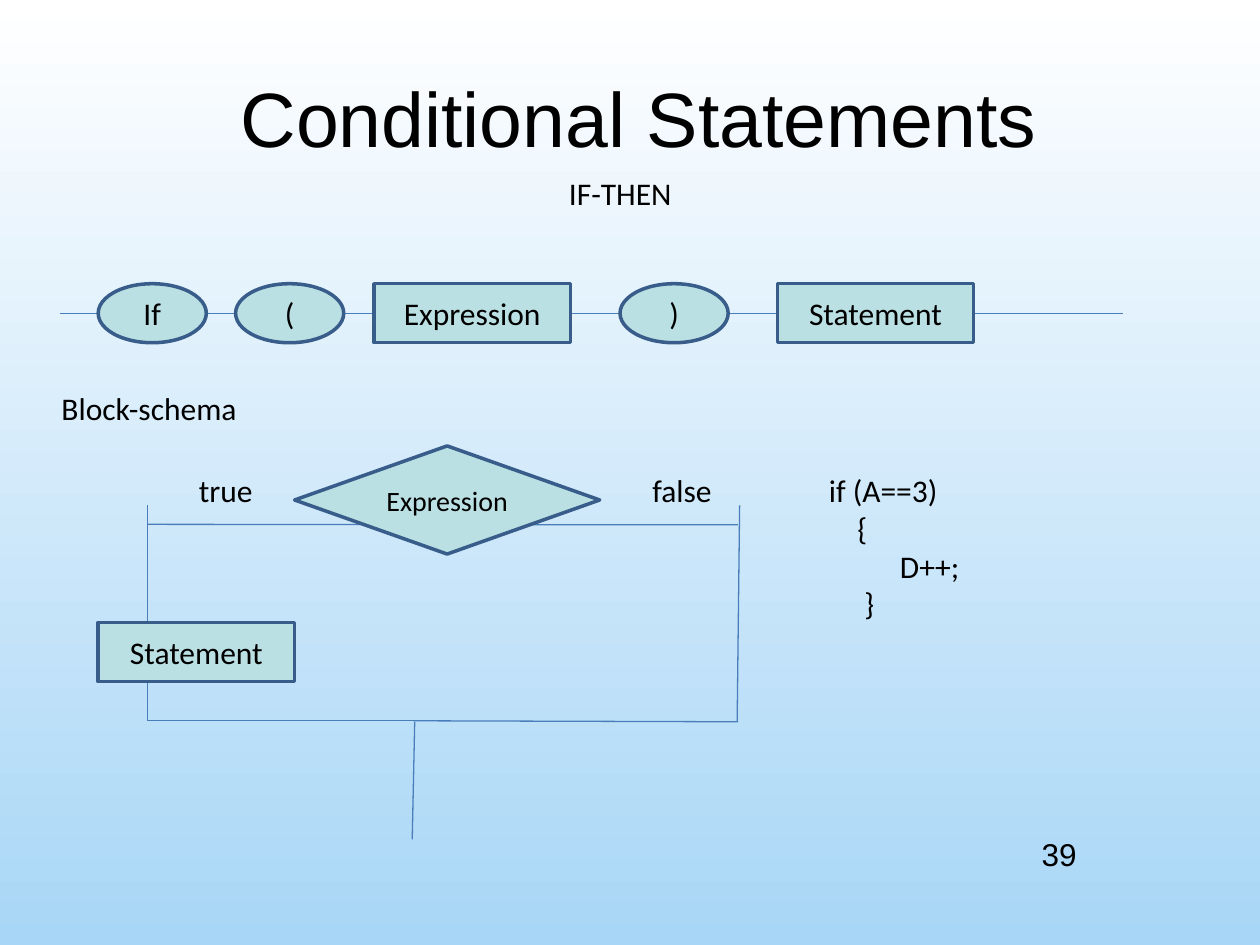
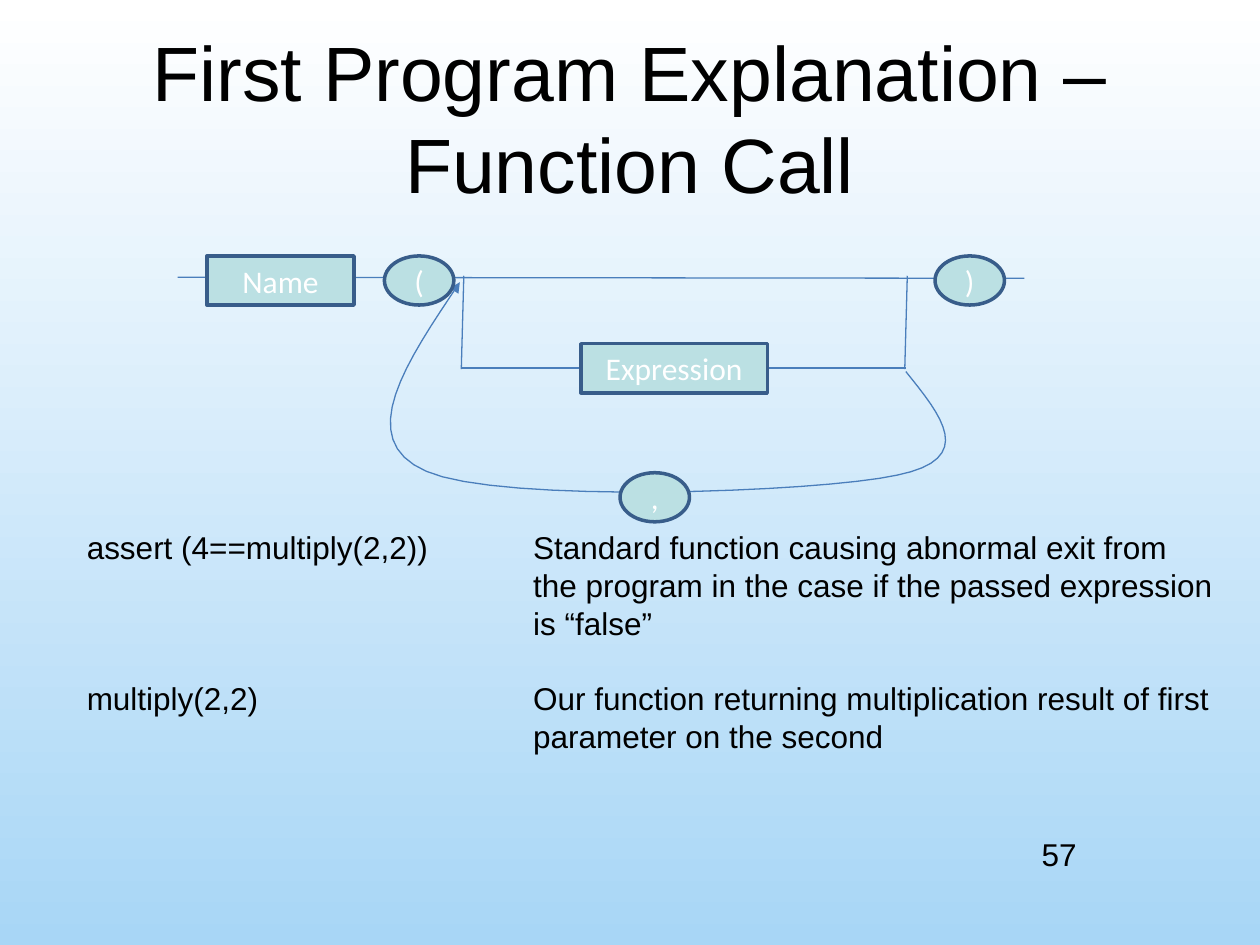
from dataclasses import dataclass

from lxml.etree import SubElement
from pptx import Presentation
from pptx.dml.color import RGBColor
from pptx.enum.shapes import MSO_CONNECTOR, MSO_SHAPE
from pptx.enum.text import MSO_ANCHOR as ANCHOR, PP_ALIGN as ALIGN
from pptx.oxml.ns import qn
from pptx.util import Cm, Pt

COLORS = {
    "sky_top": "FFFFFF",
    "sky_bottom": "A8D6F6",
    "node": "BBE0E3",
    "border": "385D8A",
    "wire": "4A7EBB",
    "black": "000000",
    "white": "FFFFFF",
}
SANS, BODY = "Arial", "Calibri"
RECT, OVAL, DIAMOND = MSO_SHAPE.RECTANGLE, MSO_SHAPE.OVAL, MSO_SHAPE.DIAMOND
CURVE_STEPS = 16


@dataclass
class Node:
    text: str
    kind: MSO_SHAPE
    left: float
    top: float
    width: float
    height: float
    size: int = 18
    color: str = "black"


@dataclass
class Wire:
    x1: float
    y1: float
    x2: float
    y2: float


@dataclass
class Label:
    text: str
    left: float
    top: float
    width: float
    height: float = 1.02
    font: str = BODY
    size: int = 18
    align: ALIGN = ALIGN.LEFT
    anchor: ANCHOR = ANCHOR.TOP


def rgb(name: str) -> RGBColor:
    return RGBColor.from_string(COLORS[name])


def write(sp, text: str, *, font: str = BODY, size: int = 18, color: str = "black",
          align: ALIGN = ALIGN.CENTER, anchor: ANCHOR = ANCHOR.MIDDLE) -> None:
    """Fill a shape with text, one paragraph per line."""
    tf = sp.text_frame
    tf.word_wrap = True
    tf.vertical_anchor = anchor
    for i, line in enumerate(text.split("\n")):
        p = tf.add_paragraph() if i else tf.paragraphs[0]
        p.alignment = align
        r = p.add_run()
        r.text = line
        r.font.name, r.font.size = font, Pt(size)
        r.font.color.rgb = rgb(color)


def add_label(slide, label: Label) -> None:
    sp = slide.shapes.add_textbox(Cm(label.left), Cm(label.top), Cm(label.width), Cm(label.height))
    write(sp, label.text, font=label.font, size=label.size, align=label.align, anchor=label.anchor)


def add_node(slide, node: Node) -> None:
    sp = slide.shapes.add_shape(node.kind, Cm(node.left), Cm(node.top),
                                Cm(node.width), Cm(node.height))
    sp.shadow.inherit = False
    sp.fill.solid()
    sp.fill.fore_color.rgb = rgb("node")
    sp.line.color.rgb = rgb("border")
    sp.line.width = Pt(2)
    write(sp, node.text, size=node.size, color=node.color)


def style_wire(sp) -> None:
    sp.line.color.rgb = rgb("wire")
    sp.line.width = Pt(0.75)


def add_wire(slide, wire: Wire) -> None:
    cx = slide.shapes.add_connector(MSO_CONNECTOR.STRAIGHT, Cm(wire.x1), Cm(wire.y1),
                                    Cm(wire.x2), Cm(wire.y2))
    style_wire(cx)
    SubElement(cx._element.spPr, qn("a:effectLst"))


def bezier(p0: tuple, p1: tuple, p2: tuple, p3: tuple) -> list[tuple]:
    """Points along a cubic curve, without its start."""
    points = []
    for i in range(1, CURVE_STEPS + 1):
        t = i / CURVE_STEPS
        weights = ((1 - t) ** 3, 3 * t * (1 - t) ** 2, 3 * t * t * (1 - t), t ** 3)
        points.append(tuple(sum(w * p[axis] for w, p in zip(weights, (p0, p1, p2, p3)))
                            for axis in (0, 1)))
    return points


def add_curved_arrow(slide, start: tuple, segments: list[tuple]) -> None:
    points, last = [], start
    for c1, c2, end in segments:
        points += bezier(last, c1, c2, end)
        last = end
    builder = slide.shapes.build_freeform(Cm(start[0]), Cm(start[1]))
    builder.add_line_segments([(Cm(x), Cm(y)) for x, y in points], close=False)
    sp = builder.convert_to_shape()
    sp.shadow.inherit = False
    sp.fill.background()
    style_wire(sp)
    SubElement(sp._element.spPr.find(qn("a:ln")), qn("a:tailEnd"), type="triangle")


def new_slide(prs, title: Label, number: str):
    """Add a slide with the sky background, its title and its number."""
    slide = prs.slides.add_slide(prs.slide_layouts[6])
    fill = slide.background.fill
    fill.gradient()
    fill.gradient_angle = 270
    for stop, name in zip(fill.gradient_stops, ("sky_top", "sky_bottom")):
        stop.color.rgb = rgb(name)
    add_label(slide, title)
    add_label(slide, Label(number, 20.75, 16.71, 4, 1.3, font=SANS))
    return slide


def title_label(text: str, left: float, top: float, height: float) -> Label:
    return Label(text, left, top, 22.86, height, SANS, 44, ALIGN.CENTER, ANCHOR.MIDDLE)


def build_conditionals(prs) -> None:
    slide = new_slide(prs, title_label("Conditional Statements", 1.45, 0.76, 3.18), "39")
    trunk, right = 2.97, 14.88
    wires = [
        Wire(1.2, 6.32, 22.63, 6.32),
        Wire(trunk, 10.57, right, 10.58),
        Wire(trunk, 10.19, trunk, 14.53),
        Wire(trunk, 14.53, 8.33, 14.53),
        Wire(14.91, 10.19, 14.86, 14.55),
        Wire(8.33, 14.53, right, 14.55),
        Wire(8.36, 14.55, 8.31, 16.92),
    ]
    oval_w, rect_w, node_h = 2.18, 3.96, 1.19
    syntax = [("If", OVAL, 1.98), ("(", OVAL, 4.75), ("Expression", RECT, 7.54),
              (")", OVAL, 12.5), ("Statement", RECT, 15.67)]
    nodes = [Node(text, kind, left, 5.72, oval_w if kind == OVAL else rect_w, node_h)
             for text, kind, left in syntax]
    nodes += [
        Node("Expression", DIAMOND, 5.94, 8.99, 6.15, 2.18, size=16),
        Node("Statement", RECT, 1.98, 12.55, rect_w, node_h),
    ]
    labels = [
        Label("IF-THEN", 6.55, 3.38, 11.91, align=ALIGN.CENTER),
        Label("Block-schema", 0.99, 7.72, 5.77),
        Label("true", 3.76, 9.37, 1.78),
        Label("false", 12.9, 9.37, 1.78),
        Label("if (A==3)\n    {\n          D++;\n     }", 16.46, 9.37, 8.94, 3.3),
    ]
    for wire in wires:
        add_wire(slide, wire)
    for node in nodes:
        add_node(slide, node)
    for label in labels:
        add_label(slide, label)


def build_function_call(prs) -> None:
    title = "First Program Explanation – Function Call"
    slide = new_slide(prs, title_label(title, 1.27, 0.36, 3.99), "57")
    wires = [Wire(3.58, 5.59, 20.65, 5.61), Wire(9.32, 7.42, 18.26, 7.42)]
    wires += [Wire(x, 5.56, x - 0.05, 7.44) for x in (9.35, 18.29)]
    for wire in wires:
        add_wire(slide, wire)
    add_curved_arrow(slide, (18.26, 7.49), [
        ((18.97, 8.38), (19.71, 9.25), (18.08, 9.58)),
        ((16.48, 9.93), (10.06, 10.16), (8.59, 9.5)),
        ((7.11, 8.86), (8.2, 7.29), (9.27, 5.69)),
    ])

    syntax = [("Name", RECT, 4.17, 5.16, 2.97), ("(", OVAL, 7.75, 5.16, 1.4),
              (")", OVAL, 18.85, 5.16, 1.4), ("Expression", RECT, 11.71, 6.93, 3.76),
              (",", OVAL, 12.5, 9.53, 1.4)]
    for text, kind, left, top, width in syntax:
        add_node(slide, Node(text, kind, left, top, width, 0.99, color="white"))

    explanations = [
        (10.52, "assert (4==multiply(2,2))",
         "Standard function causing abnormal exit from\n"
         "the program in the case if the passed expression\nis “false”"),
        (13.57, "multiply(2,2)",
         "Our function returning multiplication result of first\nparameter on the second"),
    ]
    for top, call, meaning in explanations:
        add_label(slide, Label(call, 1.5, top, 8.5, font=SANS))
        add_label(slide, Label(meaning, 10.5, top, 14.8, 2.6, font=SANS))


def main() -> None:
    prs = Presentation()
    prs.slide_width, prs.slide_height = Cm(25.4), Cm(19.05)
    build_conditionals(prs)
    build_function_call(prs)
    prs.save("out.pptx")


if __name__ == "__main__":
    main()
